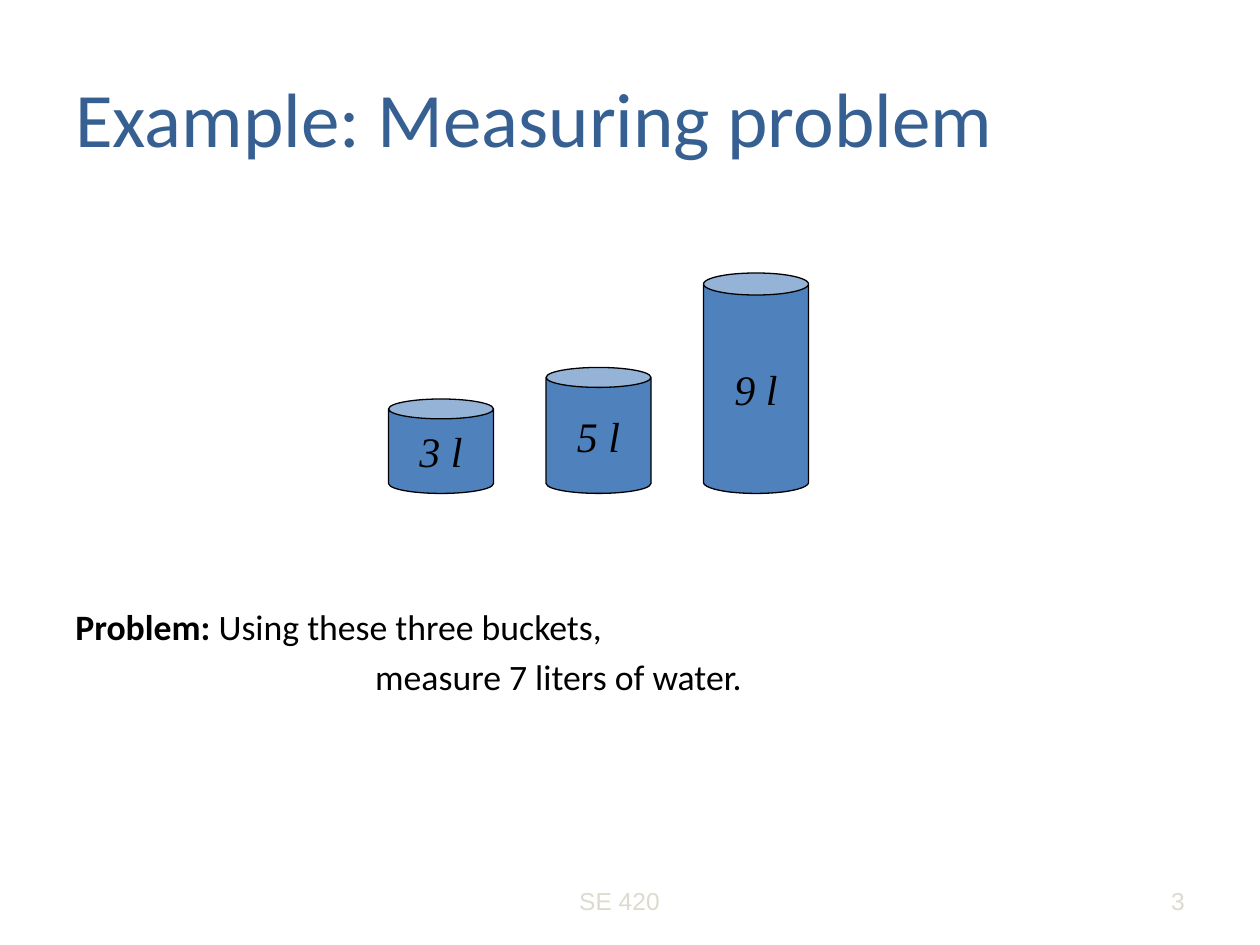
from dataclasses import dataclass
from typing import NamedTuple

from pptx import Presentation
from pptx import util as u
from pptx.dml.color import RGBColor
from pptx.enum import shapes, text


@dataclass(frozen=True)
class Theme:
    title: str = "376092"
    body: str = "000000"
    footer: str = "DDDBD0"
    bucket: str = "4F81BD"
    title_size: float = 44
    body_size: float = 20.4
    bucket_size: float = 24
    footer_size: float = 14
    sans: str = "Calibri"
    serif: str = "Times New Roman"
    footer_font: str = "Arial"


class Box(NamedTuple):
    col: float
    row: float
    cols: float
    rows: float


class Run(NamedTuple):
    text: str
    fmt: dict


class Para(NamedTuple):
    runs: list[Run]
    fmt: dict = {}
    indent: tuple[float, float] = (0, 0)


class Bucket(NamedTuple):
    label: str
    rows: float
    lid: float


T = Theme()
COLS, ROWS = 120, 90
WIDTH, HEIGHT = u.Inches(10), u.Inches(7.5)
BUCKET_COL, BUCKET_COLS, BUCKET_STEP, BUCKET_BASE = 37, 10, 15, 47


def place(box: Box) -> tuple[int, int, int, int]:
    return (round(WIDTH * box.col / COLS), round(HEIGHT * box.row / ROWS),
            round(WIDTH * box.cols / COLS), round(HEIGHT * box.rows / ROWS))


def font(name: str, size: float, color: str, **extra) -> dict:
    return {"name": name, "size": u.Pt(size), "color": color, **extra}


def write(tf, paras: list[Para], anchor, wrap: bool = True) -> None:
    tf.word_wrap = wrap
    tf.vertical_anchor = anchor
    for i, para in enumerate(paras):
        p = tf.paragraphs[0] if i == 0 else tf.add_paragraph()
        left, first = para.indent
        if left:
            pPr = p._p.get_or_add_pPr()
            pPr.set("marL", str(u.Inches(left)))
            pPr.set("indent", str(u.Inches(first)))
        for key, value in para.fmt.items():
            setattr(p, key, value)
        for run in para.runs:
            r = p.add_run()
            r.text = run.text
            for key, value in run.fmt.items():
                if key == "color":
                    r.font.color.rgb = RGBColor.from_string(value)
                else:
                    setattr(r.font, key, value)


def add_text(slide, box: Box, paras: list[Para], anchor=text.MSO_ANCHOR.MIDDLE) -> None:
    write(slide.shapes.add_textbox(*place(box)).text_frame, paras, anchor)


def add_bucket(group, index: int, bucket: Bucket) -> None:
    box = Box(BUCKET_COL + index * BUCKET_STEP, BUCKET_BASE - bucket.rows,
              BUCKET_COLS, bucket.rows)
    sp = group.shapes.add_shape(shapes.MSO_SHAPE.CAN, *place(box))
    sp.adjustments[0] = bucket.lid
    sp.shadow.inherit = False
    sp.fill.solid()
    sp.fill.fore_color.rgb = RGBColor.from_string(T.bucket)
    sp.line.color.rgb = RGBColor.from_string(T.body)
    sp.line.width = u.Pt(0.75)
    label = Run(bucket.label, font(T.serif, T.bucket_size, T.body, italic=True))
    write(sp.text_frame, [Para([label], {"alignment": text.PP_ALIGN.CENTER})],
          text.MSO_ANCHOR.MIDDLE, wrap=False)


def main() -> None:
    prs = Presentation()
    prs.slide_width, prs.slide_height = WIDTH, HEIGHT
    slide = prs.slides.add_slide(prs.slide_layouts[6])

    title = Run("Example: Measuring problem", font(T.sans, T.title_size, T.title))
    add_text(slide, Box(6, 3.6, 108, 15), [Para([title])])

    plain = font(T.sans, T.body_size, T.body)
    add_text(slide, Box(6, 57, 107.3, 9), [
        Para([Run("Problem:", {**plain, "bold": True}),
              Run(" Using these three buckets,", plain)], indent=(0.38, -0.38)),
        Para([Run("measure 7 liters of water.", plain)],
             {"space_before": u.Pt(4)}, indent=(2.38, 0)),
    ], text.MSO_ANCHOR.TOP)

    group = slide.shapes.add_group_shape()
    buckets = [Bucket("3 l", 9, 0.206), Bucket("5 l", 12, 0.194), Bucket("9 l", 21, 0.206)]
    for i, bucket in enumerate(buckets):
        add_bucket(group, i, Bucket(bucket.label, bucket.rows, round(bucket.lid, 2)))

    small = font(T.footer_font, T.footer_size, T.footer)
    for label, box, align in [
        ("SE 420", Box(40, 82.8, 38, 6), text.PP_ALIGN.CENTER),
        ("3", Box(86, 82.8, 28, 6), text.PP_ALIGN.RIGHT),
    ]:
        add_text(slide, box, [Para([Run(label, small)], {"alignment": align})])

    prs.save("out.pptx")


if __name__ == "__main__":
    main()
